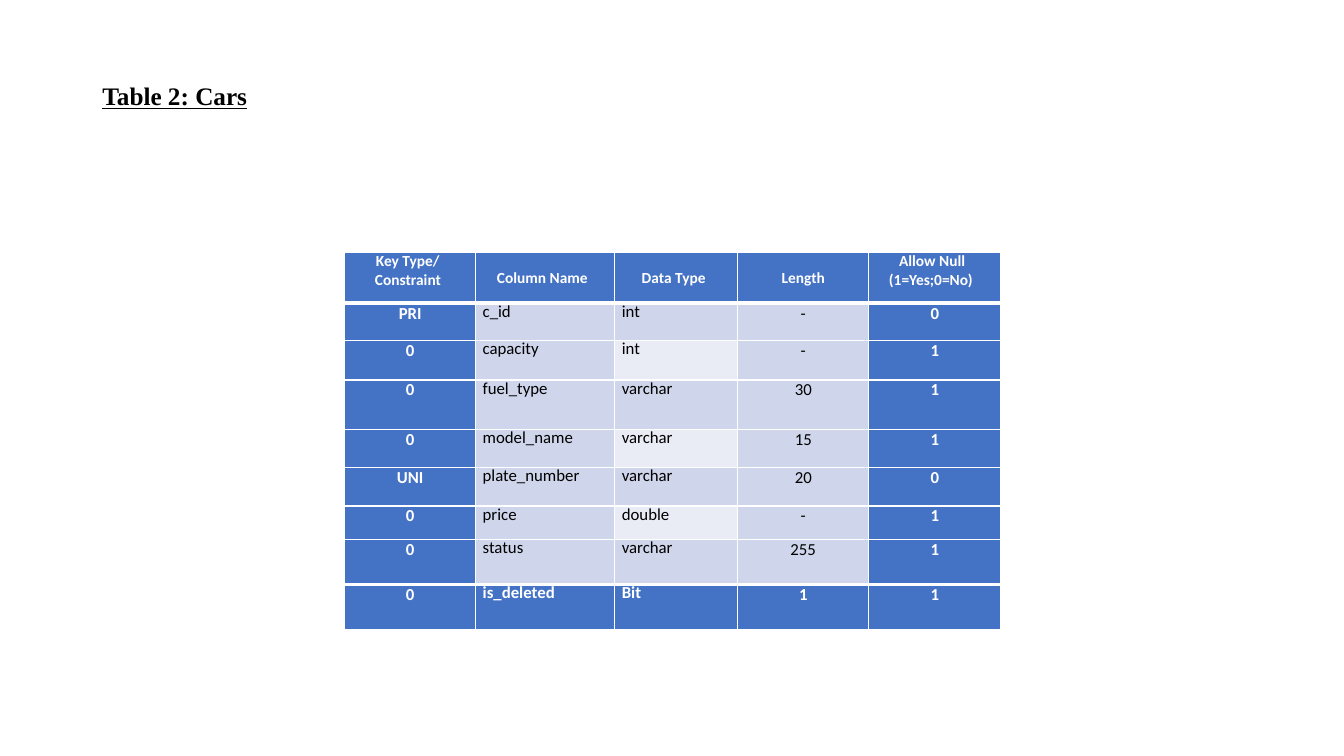
"""Build the slide that documents the columns of the Cars table."""
from collections import namedtuple
from dataclasses import dataclass

from lxml import etree
from pptx import Presentation
from pptx.dml.color import RGBColor
from pptx.enum.text import MSO_ANCHOR, PP_ALIGN
from pptx.oxml.ns import qn
from pptx.util import Pt

LEFT, CENTER = PP_ALIGN.LEFT, PP_ALIGN.CENTER
MIDDLE, TOP = MSO_ANCHOR.MIDDLE, MSO_ANCHOR.TOP

Header = namedtuple("Header", "text align left first_line top")

TITLE = "Table 2: Cars"
HEADERS = [
    Header("Key Type/ Constraint", LEFT, 21.6, 0.7, 0),
    Header("Column Name", LEFT, 15.1, 0, 12.2),
    Header("Data Type", LEFT, 19.2, 0, 12.2),
    Header("Length", CENTER, 0, 0, 12.2),
    Header("Allow Null (1=Yes;0=No)", LEFT, 14.4, 7.2, 0),
]
FIELDS = [
    ("PRI", "c_id", "int", "-", "0"),
    ("0", "capacity", "int", "-", "1"),
    ("0", "fuel_type", "varchar", "30", "1"),
    ("0", "model_name", "varchar", "15", "1"),
    ("UNI", "plate_number", "varchar", "20", "0"),
    ("0", "price", "double", "-", "1"),
    ("0", "status", "varchar", "255", "1"),
    ("0", "is_deleted", "Bit", "1", "1"),
]
COLUMN_WIDTHS = [93.6, 99.4, 87.8, 93.6, 94.3]
ROW_HEIGHTS = [36.7, 26.6, 28.1, 35.3, 27.4, 27.4, 23.8, 32.4, 32.4]
TABLE_LEFT, TABLE_TOP = 246.2, 180
KEY_COLUMN, NAME_COLUMN, TYPE_COLUMN, NULL_COLUMN = 0, 1, 2, 4


@dataclass(frozen=True)
class Theme:
    """Colours, fonts and sizes."""
    ink: str = "000000"
    paper: str = "FFFFFF"
    accent: str = "4472C4"
    band: str = "CFD5EA"
    pale: str = "E9EBF5"
    title_font: str = "Times New Roman"
    table_font: str = "Calibri"
    title_size: float = 18
    header_size: float = 11
    body_size: float = 12
    line_pitch: float = 13.4
    thin: float = 1
    thick: float = 3


THEME = Theme()


def add_span(para, text, font, size, color, bold):
    """Add one formatted run to a paragraph."""
    span = para.add_run()
    span.text = text
    span.font.name = font
    span.font.size = Pt(size)
    span.font.bold = bold
    span.font.color.rgb = RGBColor.from_string(color)
    return span


def set_borders(cell, top, bottom):
    """Draw the four white edges of a cell."""
    properties = cell._tc.get_or_add_tcPr()
    edges = [("L", THEME.thin), ("R", THEME.thin), ("T", top), ("B", bottom)]
    for index, (side, width) in enumerate(edges):
        line = etree.Element(qn(f"a:ln{side}"), w=str(Pt(width)))
        fill = etree.SubElement(line, qn("a:solidFill"))
        etree.SubElement(fill, qn("a:srgbClr"), val=THEME.paper)
        properties.insert(index, line)


def prepare_cell(cell, fill, top_margin=0):
    """Fill a cell, clear its margins and return its paragraph."""
    cell.fill.solid()
    cell.fill.fore_color.rgb = RGBColor.from_string(fill)
    cell.margin_left = cell.margin_right = cell.margin_bottom = 0
    cell.margin_top = Pt(top_margin)
    cell.vertical_anchor = TOP
    return cell.text_frame.paragraphs[0]


def indent(para, left, first_line=0):
    """Set the left margin and first-line indent of a paragraph."""
    properties = para._p.get_or_add_pPr()
    properties.set("marL", str(Pt(left)))
    properties.set("indent", str(Pt(first_line)))


def fill_header(cell, header):
    """Write one heading cell."""
    para = prepare_cell(cell, THEME.accent, header.top)
    para.alignment = header.align
    indent(para, header.left, header.first_line)
    add_span(para, header.text, THEME.table_font, THEME.header_size, THEME.paper, True)
    set_borders(cell, THEME.thin, THEME.thick)


def fill_field(cell, text, row, column):
    """Write one body cell, styled by its place in the table."""
    is_last = row == len(FIELDS)
    strong = is_last or column in (KEY_COLUMN, NULL_COLUMN)
    if strong:
        fill = THEME.accent
    elif column == TYPE_COLUMN and row % 2 == 0:
        fill = THEME.pale
    else:
        fill = THEME.band
    para = prepare_cell(cell, fill)
    if column in (NAME_COLUMN, TYPE_COLUMN):
        para.alignment = LEFT
        para.line_spacing = Pt(THEME.line_pitch)
        indent(para, 5)
    else:
        para.alignment = CENTER
    color = THEME.paper if strong else THEME.ink
    add_span(para, text, THEME.table_font, THEME.body_size, color, strong)
    top = THEME.thick if is_last or row == 1 else THEME.thin
    bottom = THEME.thick if row == len(FIELDS) - 1 else THEME.thin
    set_borders(cell, top, bottom)


def add_title(page):
    """Place and format the slide title."""
    box = page.shapes.title
    box.left, box.top, box.width, box.height = Pt(66), Pt(28.8), Pt(828), Pt(104.4)
    frame = box.text_frame
    frame.word_wrap = True
    frame.vertical_anchor = MIDDLE
    frame.margin_left = frame.margin_right = Pt(7.2)
    frame.margin_top, frame.margin_bottom = Pt(3.6), Pt(26)
    para = frame.paragraphs[0]
    para.alignment = LEFT
    para.line_spacing = 0.9
    span = add_span(para, TITLE, THEME.title_font, THEME.title_size, THEME.ink, True)
    span.font.underline = True


def add_fields_table(page):
    """Build the table of columns."""
    table = page.shapes.add_table(
        len(ROW_HEIGHTS), len(COLUMN_WIDTHS), Pt(TABLE_LEFT), Pt(TABLE_TOP),
        Pt(sum(COLUMN_WIDTHS)), Pt(sum(ROW_HEIGHTS))).table
    table.first_row = table.horz_banding = False
    for column, width in zip(table.columns, COLUMN_WIDTHS):
        column.width = Pt(width)
    for row, height in zip(table.rows, ROW_HEIGHTS):
        row.height = Pt(height)
    for column, header in enumerate(HEADERS):
        fill_header(table.cell(0, column), header)
    for row, field in enumerate(FIELDS, start=1):
        for column, text in enumerate(field):
            fill_field(table.cell(row, column), text, row, column)


def main():
    """Create and save the deck."""
    deck = Presentation()
    deck.slide_width, deck.slide_height = Pt(960), Pt(540)
    page = deck.slides.add_slide(deck.slide_layouts.get_by_name("Title Only"))
    add_title(page)
    add_fields_table(page)
    deck.save("out.pptx")


if __name__ == "__main__":
    main()
